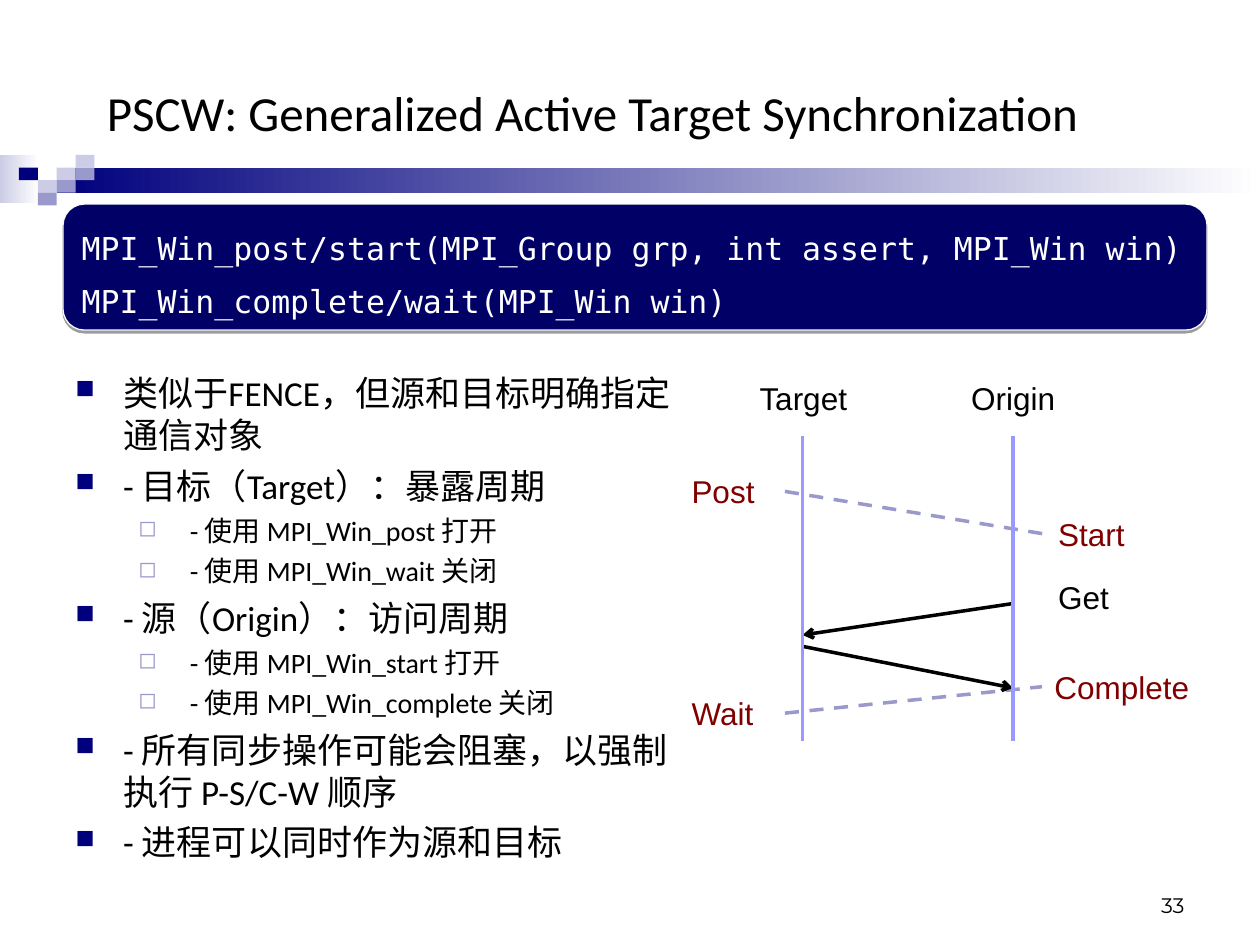
import dataclasses

import lxml.etree
import pptx
import pptx.dml.color
import pptx.enum.dml
import pptx.enum.shapes
import pptx.enum.text
import pptx.oxml
import pptx.oxml.ns
import pptx.util

COLUMNS, ROWS = 100, 75
WIDTH, HEIGHT = pptx.util.Inches(10), pptx.util.Inches(7.5)


@dataclasses.dataclass(frozen=True)
class Theme:
    navy: str = "00007D"
    code_fill: str = "000066"
    code_edge: str = "F9F9F9"
    lavender: str = "9999CC"
    pale: str = "CCCCE6"
    timeline: str = "9999FF"
    maroon: str = "800000"
    black: str = "000000"
    white: str = "FFFFFF"
    body_font: str = "Calibri"
    label_font: str = "Arial"
    code_font: str = "DejaVu Sans Mono"
    number_font: str = "Montserrat"
    title_size: int = 28
    body_size: int = 20
    detail_size: int = 16
    label_size: int = 18
    number_size: int = 12


THEME = Theme()


def across(columns):
    return round(WIDTH * columns / COLUMNS)


def down(rows):
    return round(HEIGHT * rows / ROWS)


def area(left, top, width, height):
    return across(left), down(top), across(width), down(height)


def rgb(value):
    return pptx.dml.color.RGBColor.from_string(value)


def add_child(parent, tag, **attributes):
    return lxml.etree.SubElement(parent, pptx.oxml.ns.qn(tag), attributes)


def style(paragraph, font, size, color):
    paragraph.font.name = font
    paragraph.font.size = pptx.util.Pt(size)
    paragraph.font.color.rgb = rgb(color)


def add_text(slide, place, text, font, size, color, anchor="TOP", align="LEFT"):
    box = slide.shapes.add_textbox(*area(*place))
    frame = box.text_frame
    frame.word_wrap = True
    frame.vertical_anchor = pptx.enum.text.MSO_ANCHOR[anchor]
    paragraph = frame.paragraphs[0]
    paragraph.text = text
    paragraph.alignment = pptx.enum.text.PP_ALIGN[align]
    style(paragraph, font, size, color)


def add_block(slide, place, color, fade=False):
    block = slide.shapes.add_shape(pptx.enum.shapes.MSO_SHAPE.RECTANGLE, *area(*place))
    block.shadow.inherit = False
    block.line.fill.background()
    if fade:
        block.fill.gradient()
        block.fill.gradient_angle = 0
        for stop, shade, position in zip(block.fill.gradient_stops, (color, THEME.white), (0, 1)):
            stop.color.rgb = rgb(shade)
            stop.position = position
    else:
        block.fill.solid()
        block.fill.fore_color.rgb = rgb(color)


def add_banner(slide):
    add_block(slide, (0, 12.3, 3.1, 3.8), THEME.pale, fade=True)
    add_block(slide, (4.5, 13.3, 95.5, 2), THEME.navy, fade=True)
    tiles = [
        (3, 1, THEME.pale), (4, 0, THEME.pale), (4, 1, THEME.lavender),
        (2, 2, THEME.pale), (1, 1, THEME.navy), (3, 2, THEME.lavender),
        (2, 3, THEME.lavender),
    ]
    for column, row, color in tiles:
        add_block(slide, (1.5 * column, 12.3 + row, 1.5, 1), color)


def add_line(slide, start, end, color, dashed=False, arrow=False):
    line = slide.shapes.add_connector(
        pptx.enum.shapes.MSO_CONNECTOR.STRAIGHT,
        across(start[0]), down(start[1]), across(end[0]), down(end[1]),
    )
    line.line.color.rgb = rgb(color)
    line.line.width = pptx.util.Pt(2)
    if dashed:
        line.line.dash_style = pptx.enum.dml.MSO_LINE.DASH
    properties = line._element.spPr
    if arrow:
        add_child(properties.find(pptx.oxml.ns.qn("a:ln")), "a:tailEnd", type="arrow")
    add_child(properties, "a:effectLst")


def add_bullet(paragraph, symbol, color, percent, margin, hanging):
    properties = paragraph._p.get_or_add_pPr()
    properties.set("marL", str(across(margin)))
    properties.set("indent", str(-across(hanging)))
    add_child(add_child(properties, "a:buClr"), "a:srgbClr", val=color)
    add_child(properties, "a:buSzPct", val=str(percent * 1000))
    add_child(properties, "a:buChar", char=symbol)


def add_outline(slide, place, items):
    frame = slide.shapes.add_textbox(*area(*place)).text_frame
    frame.word_wrap = True
    for index, (level, text) in enumerate(items):
        paragraph = frame.add_paragraph() if index else frame.paragraphs[0]
        paragraph.text = text
        paragraph.level = level
        if level:
            add_bullet(paragraph, "◻", THEME.lavender, 80, 9.1, 4.1)
        else:
            add_bullet(paragraph, "■", THEME.navy, 75, 3.8, 3.8)
        paragraph.space_before = pptx.util.Pt((5 - level) if index else 0)
        size = THEME.detail_size if level else THEME.body_size
        style(paragraph, THEME.body_font, size, THEME.black)


def add_code(slide, place, lines):
    panel = slide.shapes.add_shape(pptx.enum.shapes.MSO_SHAPE.ROUNDED_RECTANGLE, *area(*place))
    panel.adjustments[0] = 0.17
    panel.fill.solid()
    panel.fill.fore_color.rgb = rgb(THEME.code_fill)
    panel.line.color.rgb = rgb(THEME.code_edge)
    panel.line.width = pptx.util.Pt(0.75)
    panel.shadow.inherit = False
    effects = panel._element.spPr.find(pptx.oxml.ns.qn("a:effectLst"))
    shadow = add_child(effects, "a:outerShdw", blurRad="0", dist=str(pptx.util.Pt(1.6)),
                       dir="5400000", rotWithShape="0")
    add_child(add_child(shadow, "a:srgbClr", val=THEME.black), "a:alpha", val="38000")
    frame = panel.text_frame
    frame.word_wrap = True
    frame.vertical_anchor = pptx.enum.text.MSO_ANCHOR.MIDDLE
    for index, text in enumerate(lines):
        paragraph = frame.add_paragraph() if index else frame.paragraphs[0]
        paragraph.text = text
        paragraph.alignment = pptx.enum.text.PP_ALIGN.LEFT
        paragraph.line_spacing = 1.4
        style(paragraph, THEME.code_font, THEME.label_size, THEME.white)


def add_sequence(slide):
    target, origin = 63.7, 80.4
    add_line(slide, (62.3, 39), (83, 42.4), THEME.lavender, dashed=True)
    add_line(slide, (62.3, 56.6), (82.7, 54.5), THEME.lavender, dashed=True)
    add_line(slide, (origin, 47.9), (target, 50.4), THEME.black, arrow=True)
    add_line(slide, (target, 51.3), (origin, 54.6), THEME.black, arrow=True)
    for column in (target, origin):
        add_line(slide, (column, 34.6), (column, 58.8), THEME.timeline)
    labels = [
        ("Start", 83, 40.4, 9.5, THEME.maroon), ("Complete", 82.7, 52.5, 14.2, THEME.maroon),
        ("Post", 53.9, 37, 8.4, THEME.maroon), ("Wait", 53.9, 54.6, 8.4, THEME.maroon),
        ("Get", 83, 45.4, 8.7, THEME.black), ("Target", 59.3, 29.6, 10, THEME.black),
        ("Origin", 76.1, 29.6, 10, THEME.black),
    ]
    for text, left, top, width, color in labels:
        add_text(slide, (left, top, width, 4), text, THEME.label_font, THEME.label_size, color)


def main():
    deck = pptx.Presentation()
    deck.slide_width, deck.slide_height = WIDTH, HEIGHT
    slide = deck.slides.add_slide(deck.slide_layouts[6])
    add_banner(slide)
    add_text(slide, (7.5, 4.4, 84.2, 8.9), "PSCW: Generalized Active Target Synchronization",
             THEME.body_font, THEME.title_size, THEME.black, anchor="MIDDLE")
    add_outline(slide, (5, 29, 50, 40.1), [
        (0, "类似于FENCE，但源和目标明确指定通信对象"),
        (0, "- 目标（Target）：暴露周期"),
        (1, "- 使用 MPI_Win_post 打开"),
        (1, "- 使用 MPI_Win_wait 关闭"),
        (0, "- 源（Origin）：访问周期"),
        (1, "- 使用 MPI_Win_start 打开"),
        (1, "- 使用 MPI_Win_complete 关闭"),
        (0, "- 所有同步操作可能会阻塞，以强制执行 P-S/C-W 顺序"),
        (0, "- 进程可以同时作为源和目标"),
    ])
    add_text(slide, (71.7, 68.3, 23.3, 5), "33", THEME.number_font, THEME.number_size,
             THEME.black, anchor="BOTTOM", align="RIGHT")
    add_sequence(slide)
    add_code(slide, (5, 16.2, 90.8, 10), [
        "MPI_Win_post/start(MPI_Group grp, int assert, MPI_Win win)",
        "MPI_Win_complete/wait(MPI_Win win)",
    ])
    deck.save("out.pptx")


if __name__ == "__main__":
    main()
